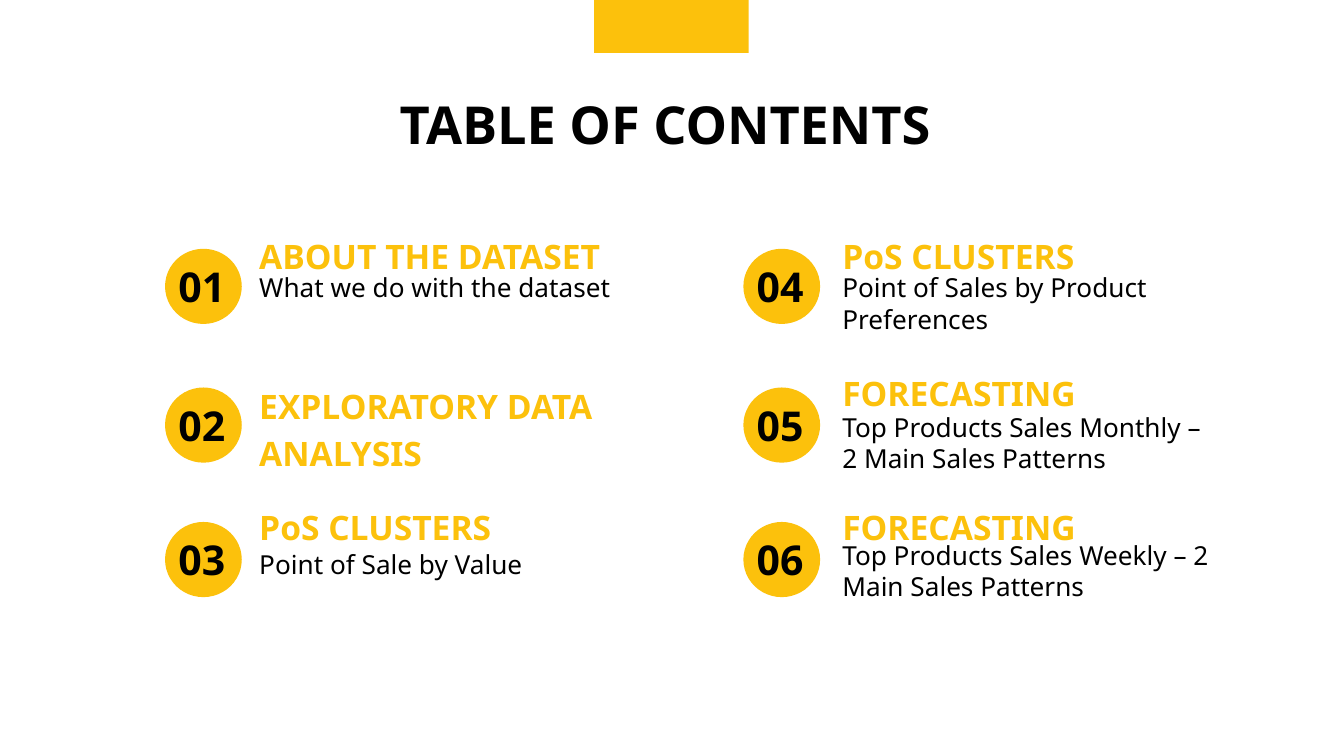
from pptx import Presentation
from pptx.dml.color import RGBColor
from pptx.enum import shapes, text
from pptx.util import Cm, Pt

COLORS = {"accent": "FCC10C", "ink": "000000"}
FONT = "Noto Sans"

presentation = Presentation()
presentation.slide_width, presentation.slide_height = Cm(25.4), Cm(14.28)
slide = presentation.slides.add_slide(presentation.slide_layouts[5])


def write(shape, content, size=14, color="ink", bold=False, spacing=1.0,
          align=text.PP_ALIGN.LEFT, anchor=text.MSO_ANCHOR.TOP):
    frame = shape.text_frame
    frame.word_wrap = True
    frame.auto_size = text.MSO_AUTO_SIZE.NONE
    frame.vertical_anchor = anchor
    frame.margin_left = frame.margin_right = Cm(0.25)
    frame.margin_top = frame.margin_bottom = Cm(0.25)
    frame.text = content
    paragraph = frame.paragraphs[0]
    paragraph.alignment = align
    paragraph.line_spacing = spacing
    font = paragraph.runs[0].font
    font.name, font.size, font.bold = FONT, Pt(size), bold
    font.color.rgb = RGBColor.from_string(COLORS[color])


def add_accent(kind, left, top, width, height):
    shape = slide.shapes.add_shape(kind, Cm(left), Cm(top), Cm(width), Cm(height))
    shape.shadow.inherit = False
    shape.fill.solid()
    shape.fill.fore_color.rgb = RGBColor.from_string(COLORS["accent"])
    shape.line.fill.background()


add_accent(shapes.MSO_SHAPE.RECTANGLE, 11.23, 0, 2.92, 1)

title = slide.shapes.title
title.left, title.top, title.width, title.height = Cm(2.51), Cm(1.5), Cm(20.37), Cm(1.5)
write(title, "TABLE OF CONTENTS ", size=28, bold=True, align=text.PP_ALIGN.CENTER)

# Each column: circle left, text left, description width, then its entries.
# Each entry: heading, heading top, heading height, description, description top.
columns = [
    (3.12, 4.65, 7.14, [
        ("ABOUT THE DATASET", 4.09, 1.12, "What we do with the dataset", 4.88),
        ("EXPLORATORY DATA ANALYSIS", 6.93, 2.31, None, None),
        ("PoS CLUSTERS", 9.22, 1.12, "Point of Sale by Value", 10.11),
    ]),
    (14.05, 15.67, 7.62, [
        ("PoS CLUSTERS", 4.09, 1.12, "Point of Sales by Product Preferences", 4.88),
        ("FORECASTING", 6.68, 1.12,
         "Top Products Sales Monthly – 2 Main Sales Patterns", 7.52),
        ("FORECASTING", 9.22, 1.12,
         "Top Products Sales Weekly – 2 Main Sales Patterns", 9.93),
    ]),
]
circle_tops = [4.7, 7.32, 9.86]

number = 0
for circle_left, text_left, description_width, entries in columns:
    for circle_top, entry in zip(circle_tops, entries):
        heading, heading_top, heading_height, description, description_top = entry
        number += 1
        add_accent(shapes.MSO_SHAPE.OVAL, circle_left, circle_top, 1.45, 1.42)
        box = slide.shapes.add_textbox(
            Cm(circle_left - 0.13), Cm(circle_top + 0.15), Cm(1.65), Cm(1.12))
        write(box, f"{number:02}", size=22, bold=True,
              align=text.PP_ALIGN.CENTER, anchor=text.MSO_ANCHOR.MIDDLE)
        box = slide.shapes.add_textbox(
            Cm(text_left), Cm(heading_top), Cm(7.65), Cm(heading_height))
        write(box, heading, size=18, color="accent", bold=True, spacing=1.15)
        if description:
            box = slide.shapes.add_textbox(
                Cm(text_left), Cm(description_top), Cm(description_width), Cm(1.5))
            write(box, description)

presentation.save("out.pptx")
